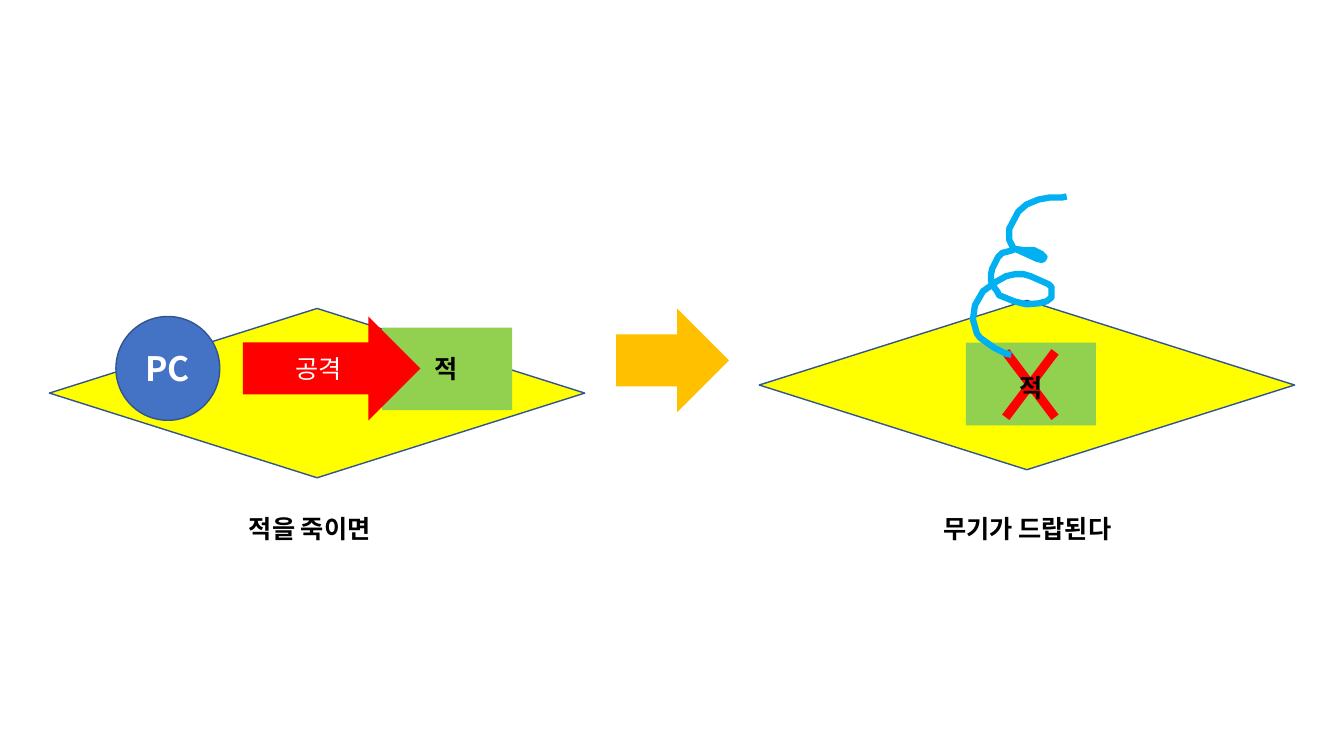
from lxml.etree import SubElement
from pptx import Presentation
from pptx.dml.color import RGBColor
from pptx.enum.shapes import MSO_SHAPE as SHAPE
from pptx.enum.text import MSO_ANCHOR as ANCHOR, MSO_AUTO_SIZE as AUTO, PP_ALIGN as ALIGN
from pptx.oxml.ns import qn
from pptx.util import Inches, Pt

FONT = "Noto Sans CJK KR"
WHITE = RGBColor(0xFF, 0xFF, 0xFF)
BLACK = RGBColor(0x00, 0x00, 0x00)
YELLOW = RGBColor(0xFF, 0xFF, 0x00)
BLUE = RGBColor(0x44, 0x72, 0xC4)
NAVY = RGBColor(0x32, 0x54, 0x91)
GREEN = RGBColor(0x92, 0xD0, 0x50)
RED = RGBColor(0xFF, 0x00, 0x00)
ORANGE = RGBColor(0xFF, 0xC0, 0x00)
SKY = RGBColor(0x00, 0xB0, 0xF0)

DROP_TRAIL = [
    (1003, 352), (998, 351), (986, 345), (972, 335), (969, 331), (965, 317),
    (967, 303), (975, 289), (982, 284), (989, 279), (998, 274), (1007, 272),
    (1015, 272), (1022, 274), (1040, 282), (1043, 285), (1043, 292),
    (1043, 295), (1038, 299), (1030, 301), (1018, 302), (1006, 299),
    (991, 293), (989, 289), (986, 285), (983, 279), (983, 272), (984, 267),
    (990, 255), (994, 251), (1002, 249), (1007, 247), (1014, 248),
    (1025, 248), (1033, 252), (1036, 255), (1034, 258), (1029, 257),
    (1005, 246), (1001, 238), (1001, 227), (1010, 210), (1018, 203),
    (1030, 198), (1041, 196), (1053, 196), (1058, 195),
]


def write(sp, text, size=18, color=BLACK, bold=True, align=ALIGN.CENTER):
    """Put one formatted line of text in a shape."""
    p = sp.text_frame.paragraphs[0]
    p.alignment = align
    r = p.add_run()
    r.text = text
    r.font.size = Pt(size)
    r.font.bold = bold
    r.font.color.rgb = color
    r.font.name = FONT
    SubElement(r.font._element, qn("a:ea")).set("typeface", FONT)


def add_figure(slide, kind, x, y, w, h, fill, line=None):
    """Add a filled preset shape, outlined if a line colour is given."""
    sp = slide.shapes.add_shape(kind, Inches(x), Inches(y), Inches(w), Inches(h))
    sp.shadow.inherit = False
    sp.fill.solid()
    sp.fill.fore_color.rgb = fill
    if line is None:
        sp.line.fill.background()
    else:
        sp.line.color.rgb = line
        sp.line.width = Pt(1)
    sp.text_frame.vertical_anchor = ANCHOR.MIDDLE
    return sp


def add_label(slide, text, x, y, w, **fmt):
    """Add a one-line text box."""
    sp = slide.shapes.add_textbox(Inches(x), Inches(y), Inches(w), Inches(0.4))
    sp.text_frame.word_wrap = False
    sp.text_frame.auto_size = AUTO.SHAPE_TO_FIT_TEXT
    write(sp, text, **fmt)


def add_floor(slide, x, y):
    """Add the yellow floor of a scene."""
    add_figure(slide, SHAPE.DIAMOND, x, y, 5.31, 1.68, YELLOW, NAVY)


def add_enemy(slide, x, y):
    """Add the green block that stands for the enemy."""
    add_figure(slide, SHAPE.RECTANGLE, x, y, 1.29, 0.82, GREEN)


def add_trail(slide, points):
    """Draw an open line through points given in hundredths of an inch."""
    builder = slide.shapes.build_freeform(*points[0], scale=Inches(0.01))
    builder.add_line_segments(points[1:], close=False)
    sp = builder.convert_to_shape()
    sp.shadow.inherit = False
    sp.fill.background()
    sp.line.color.rgb = SKY
    sp.line.width = Pt(4.5)


def add_attack_scene(slide):
    """Draw the player attacking the enemy."""
    add_floor(slide, 0.49, 3.06)
    player = add_figure(slide, SHAPE.OVAL, 1.15, 3.14, 1.03, 1.03, BLUE, NAVY)
    write(player, "PC", size=24, color=WHITE)
    add_enemy(slide, 3.79, 3.25)
    add_label(slide, "적", 4.2, 3.46, 0.45)
    attack = add_figure(slide, SHAPE.RIGHT_ARROW, 2.41, 3.14, 1.76, 1.03, RED)
    write(attack, "공격", color=WHITE, bold=False)
    add_label(slide, "적을 죽이면", 2.37, 5.04, 1.55, align=ALIGN.LEFT)


def add_drop_scene(slide):
    """Draw the dead enemy and the trail of the dropped weapon."""
    add_floor(slide, 7.53, 2.98)
    add_enemy(slide, 9.58, 3.4)
    cross = add_figure(slide, SHAPE.MATH_MULTIPLY, 9.75, 3.19, 0.94, 1.25, RED)
    cross.adjustments[0] = 0.095
    add_label(slide, "적", 10, 3.64, 0.45)
    add_trail(slide, DROP_TRAIL)
    add_label(slide, "무기가 드랍된다", 9.16, 5.04, 2.06)


def main():
    """Build and save the slide."""
    prs = Presentation()
    prs.slide_width, prs.slide_height = Inches(13.33), Inches(7.5)
    slide = prs.slides.add_slide(prs.slide_layouts[6])
    add_attack_scene(slide)
    add_figure(slide, SHAPE.RIGHT_ARROW, 6.11, 3.06, 1.12, 1.03, ORANGE)
    add_drop_scene(slide)
    prs.save("out.pptx")


if __name__ == "__main__":
    main()
